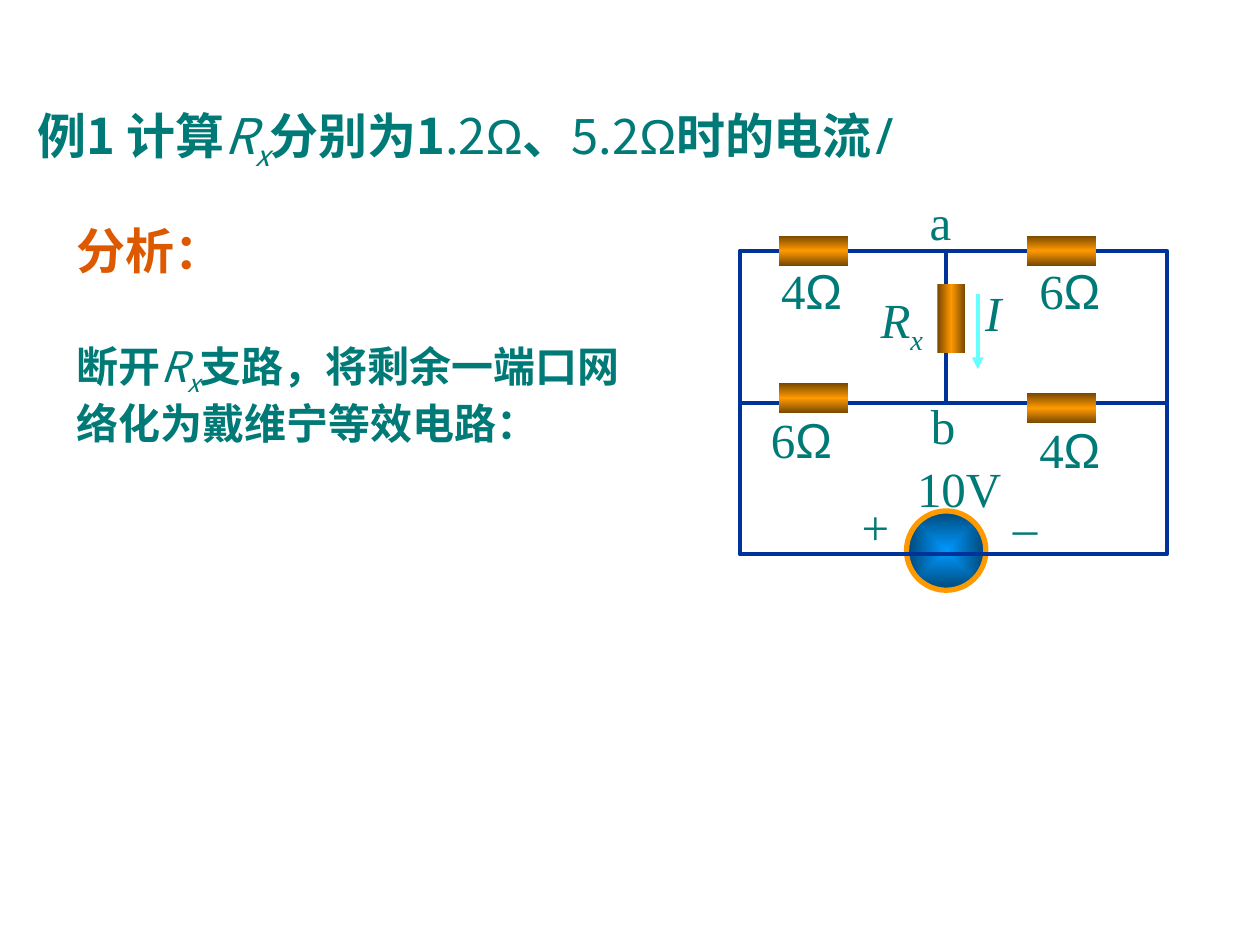
from dataclasses import dataclass

from lxml import etree
from pptx import Presentation, util as u
from pptx.dml.color import RGBColor
from pptx.enum import shapes, text
from pptx.oxml import ns


@dataclass(frozen=True)
class Theme:
    teal: str = "007A77"
    orange: str = "DC5900"
    wire: str = "003399"
    arrow: str = "66FFFF"
    ring: str = "FF9900"
    source_stops: tuple = ((0, "0099FF"), (100, "004776"))
    resistor_stops: tuple = ((0, "764700"), (50, "FF9900"), (100, "764700"))
    cjk: str = "Noto Sans CJK SC"
    serif: str = "Times New Roman"
    symbol: str = "Arial"
    large: int = 28
    body: int = 24
    thin: float = 2.25
    thick: float = 3


THEME = Theme()

# Content: runs are (text, style); b bold, i italic, s subscript, o symbol font
RX = [("R", "i"), ("x", "is")]
TITLE = [("例1 计算", "b"), *RX, ("分别为1", "b"), (".2", ""), ("Ω", "o"),
         ("、", "b"), ("5.2", ""), ("Ω", "o"), ("时的电流", "b"), ("I", "i")]
HEADING = [("分析：", "b")]
ANALYSIS = [("断开", "b"), *RX, ("支路，将剩余一端口网络化为戴维宁等效电路：", "b")]

# Circuit geometry in inches: frame sides, resistor columns, centre branch
LEFT, RIGHT, TOP, BOTTOM = 5.87, 9.26, 1.99, 4.4
MIDDLE = (TOP + BOTTOM) / 2
BRANCH = 7.51
COLUMN_1, COLUMN_2 = 6.18, 8.15
LONG, SHORT = 0.55, 0.24
SOURCE_SIZE = 0.63
LABEL_H = 0.57

# Horizontal resistors: left, centre height
RESISTORS = [(COLUMN_1, TOP), (COLUMN_2, TOP), (COLUMN_1, 3.16), (COLUMN_2, 3.24)]

# Labels: runs, left, top, width
LABELS = [
    ([("I", "i")], 7.72, 2.19, 0.55),
    (RX, 6.89, 2.25, 0.77),
    ([("a", "")], 7.28, 1.47, 0.55),
    ([("b", "")], 7.29, 3.09, 0.55),
    ([("+", "")], 6.74, 3.89, 0.55),
    ([("–", "")], 7.94, 3.89, 0.66),
    ([("10V", "")], 7.18, 3.59, 1.2),
    ([("4", ""), ("Ω", "o")], 8.15, 3.28, 0.87),
    ([("6", ""), ("Ω", "o")], 8.15, 2.02, 0.87),
    ([("6", ""), ("Ω", "o")], 6.02, 3.2, 1.09),
    ([("4", ""), ("Ω", "o")], 6.1, 2.02, 0.98),
]


def inches(*lengths):
    return [u.Inches(length) for length in lengths]


def rgb(color):
    return RGBColor.from_string(color)


def write(frame, runs, size, color, font):
    """Fill a text frame with one left-aligned paragraph of styled runs."""
    frame.word_wrap = True
    frame.vertical_anchor = text.MSO_ANCHOR.TOP
    frame.auto_size = text.MSO_AUTO_SIZE.NONE
    paragraph = frame.paragraphs[0]
    paragraph.alignment = text.PP_ALIGN.LEFT
    paragraph.space_before = u.Pt(0)
    paragraph.font.size = u.Pt(size)
    paragraph.font.color.rgb = rgb(color)
    for words, style in runs:
        run = paragraph.add_run()
        run.text = words
        run.font.name = THEME.symbol if "o" in style else font
        run.font.bold = "b" in style
        run.font.italic = "i" in style
        props = run.font._element
        etree.SubElement(props, ns.qn("a:ea"), typeface=THEME.cjk)
        if "s" in style:
            props.set("baseline", "-25000")
    return paragraph


def add_label(parent, runs, box, size=THEME.large, color=THEME.teal, font=THEME.serif):
    write(parent.add_textbox(*inches(*box)).text_frame, runs, size, color, font)


def add_block(parent, kind, *box):
    block = parent.add_shape(kind, *inches(*box))
    block.shadow.inherit = False
    block.fill.background()
    block.line.fill.background()
    return block


def outline(item, color, width):
    item.line.color.rgb = rgb(color)
    item.line.width = u.Pt(width)


def set_gradient(block, stops, angle=None):
    """Linear gradient at an angle, or one spreading from the centre."""
    grad = etree.Element(ns.qn("a:gradFill"), rotWithShape="1")
    stop_list = etree.SubElement(grad, ns.qn("a:gsLst"))
    for position, color in stops:
        stop = etree.SubElement(stop_list, ns.qn("a:gs"), pos=str(position * 1000))
        etree.SubElement(stop, ns.qn("a:srgbClr"), val=color)
    if angle is None:
        center = etree.SubElement(grad, ns.qn("a:path"), path="rect")
        etree.SubElement(center, ns.qn("a:fillToRect"),
                         **dict.fromkeys("ltrb", "50000"))
    else:
        etree.SubElement(grad, ns.qn("a:lin"), ang=str(angle * 60000), scaled="1")
    props = block._element.spPr
    props.replace(props.find(ns.qn("a:noFill")), grad)


def add_wire(parent, start, end, color=THEME.wire):
    wire = parent.add_connector(shapes.MSO_CONNECTOR.STRAIGHT, *inches(*start, *end))
    outline(wire, color, THEME.thin)
    etree.SubElement(wire._element.spPr, ns.qn("a:effectLst"))
    return wire


def add_circuit(slide):
    circuit = slide.shapes.add_group_shape().shapes
    rectangle = shapes.MSO_SHAPE.RECTANGLE

    # Voltage source and wires
    source = add_block(circuit, shapes.MSO_SHAPE.OVAL, BRANCH - SOURCE_SIZE / 2,
                       BOTTOM - 0.03 - SOURCE_SIZE / 2, SOURCE_SIZE, SOURCE_SIZE)
    set_gradient(source, THEME.source_stops)
    outline(source, THEME.ring, THEME.thick)
    loop = add_block(circuit, rectangle, LEFT, TOP, RIGHT - LEFT, BOTTOM - TOP)
    outline(loop, THEME.wire, THEME.thin)
    bridge = add_wire(circuit, (LEFT, MIDDLE), (RIGHT, MIDDLE))
    bridge.begin_connect(loop, 1)
    bridge.end_connect(loop, 3)
    add_wire(circuit, (BRANCH, TOP), (BRANCH, MIDDLE))

    # Current arrow
    current = add_wire(circuit, (7.76, 2.33), (7.76, 2.93), THEME.arrow)
    etree.SubElement(current.line._get_or_add_ln(), ns.qn("a:tailEnd"), type="triangle")

    # Labels, then resistors
    for runs, left, top, width in LABELS:
        add_label(circuit, runs, (left, top, width, LABEL_H))
    for left, center in RESISTORS:
        resistor = add_block(circuit, rectangle, left, center - SHORT / 2, LONG, SHORT)
        set_gradient(resistor, THEME.resistor_stops, 90)
    load = add_block(circuit, rectangle, 7.44, 2.25, 0.22, LONG)
    set_gradient(load, THEME.resistor_stops, 0)


def main():
    deck = Presentation()
    deck.slide_width, deck.slide_height = inches(10, 7.5)
    slide = deck.slides.add_slide(deck.slide_layouts[5])

    # Title
    title = slide.shapes.title
    title.left, title.top, title.width, title.height = inches(0.2, 0.68, 7.8, 0.74)
    heading = write(title.text_frame, TITLE, THEME.large, THEME.teal, THEME.cjk)
    heading.line_spacing = 1.2

    # Circuit and analysis
    add_circuit(slide)
    add_label(slide.shapes, HEADING, (0.51, 1.7, 3.07, LABEL_H), color=THEME.orange)
    add_label(slide.shapes, ANALYSIS, (0.51, 2.65, 4.57, 0.96), THEME.body,
              font=THEME.cjk)
    deck.save("out.pptx")


if __name__ == "__main__":
    main()
